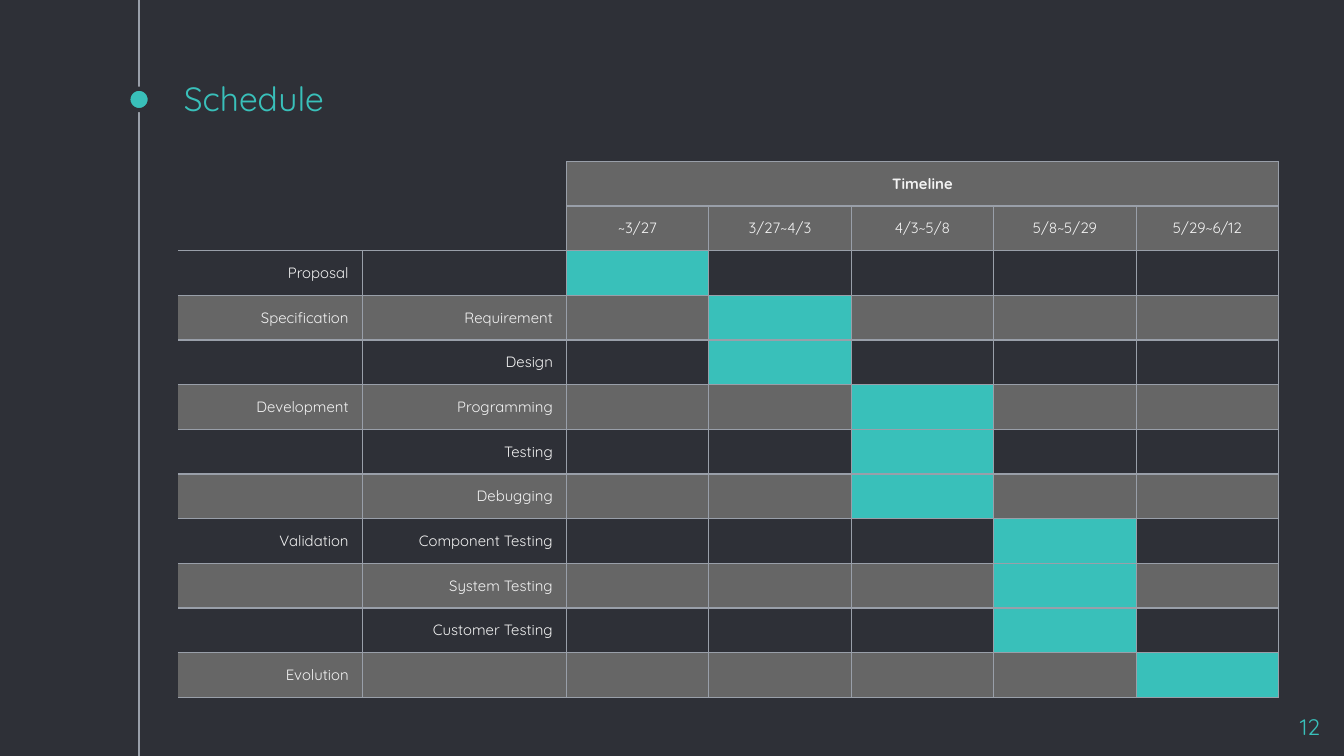
from lxml.etree import SubElement as Sub
from pptx import Presentation
from pptx.dml.color import RGBColor as Rgb
from pptx.enum.shapes import MSO_CONNECTOR as Conn, MSO_SHAPE as Form
from pptx.enum.text import MSO_ANCHOR as Anchor, PP_ALIGN as Align
from pptx.oxml.ns import qn
from pptx.util import Inches, Pt


class Theme:
    back, teal, grey = "2E3037", "39C0BA", "666666"
    rule, text = "999FA9", "F3F3F3"
    font = "Quicksand"
    title, page, cell = 18, 12, 8
    thin, ring = 0.75, 2.25


deck = Presentation()
deck.slide_width, deck.slide_height = Inches(10), Inches(5.625)
slide = deck.slides.add_slide(deck.slide_layouts[6])
slide.background.fill.solid()
slide.background.fill.fore_color.rgb = Rgb.from_string(Theme.back)
col, row = deck.slide_width / 100, deck.slide_height / 100


def write(frame, text, size, color, align, bold=False):
    par = frame.paragraphs[0]
    par.alignment = align
    if text:
        run = par.add_run()
        run.text = text
        run.font.name, run.font.size, run.font.bold = Theme.font, Pt(size), bold
        run.font.color.rgb = Rgb.from_string(color)
    else:
        # An empty cell would else be as tall as 18 pt text.
        Sub(par._p, qn("a:endParaRPr"), sz=str(size * 100))


def edge(cell, sides):
    """Rule the given sides of a cell, as letters of LRTB, and clear the rest."""
    props = cell._tc.get_or_add_tcPr()
    for side in "LRTB":
        line = Sub(props, qn(f"a:ln{side}"), w=str(Pt(Theme.thin)))
        if side in sides:
            fill = Sub(line, qn("a:solidFill"))
            Sub(fill, qn("a:srgbClr"), val=Theme.rule)
        else:
            Sub(line, qn("a:noFill"))


# Rail with its dot
mid, level, dot = 10.35 * col, 13.16 * row, 1.6 * col
rail = slide.shapes.add_connector(
    Conn.STRAIGHT, int(mid), 0, int(mid), deck.slide_height)
rail.line.color.rgb = Rgb.from_string(Theme.rule)
rail.line.width = Pt(Theme.thin)
Sub(rail._element.spPr, qn("a:effectLst"))

disc = slide.shapes.add_shape(
    Form.OVAL, int(mid - dot / 2), int(level - dot / 2), int(dot), int(dot))
disc.shadow.inherit = False
disc.fill.solid()
disc.fill.fore_color.rgb = Rgb.from_string(Theme.teal)
disc.line.color.rgb = Rgb.from_string(Theme.back)
disc.line.width = Pt(Theme.ring)

# Title and page number
labels = [
    ("Schedule", 12.7, 10.67, 75, 6.76, Theme.title, Align.LEFT, Anchor.BOTTOM),
    ("12", 93.2, 92.5, 6, 6.05, Theme.page, Align.RIGHT, Anchor.TOP),
]
for text, left, top, wide, high, size, align, anchor in labels:
    box = slide.shapes.add_textbox(
        int(left * col), int(top * row), int(wide * col), int(high * row))
    frame = box.text_frame
    frame.word_wrap = True
    frame.vertical_anchor = anchor
    frame.margin_left = frame.margin_right = Inches(0.1)
    frame.margin_top = frame.margin_bottom = Inches(0.1)
    write(frame, text, size, Theme.teal, align)

# Schedule: phase, task, index of the active period
dates = ["~3/27", "3/27~4/3", "4/3~5/8", "5/8~5/29", "5/29~6/12"]
tasks = [
    ("Proposal", "", 0),
    ("Specification", "Requirement", 1),
    ("", "Design", 1),
    ("Development", "Programming", 2),
    ("", "Testing", 2),
    ("", "Debugging", 2),
    ("Validation", "Component Testing", 3),
    ("", "System Testing", 3),
    ("", "Customer Testing", 3),
    ("Evolution", "", 4),
]
blank = [""] * len(dates)
rows = [["", "", "Timeline"] + blank[1:], ["", ""] + dates]
rows += [[phase, task] + blank for phase, task, _ in tasks]
wides = [13.7, 15.2] + [10.6] * len(dates)
high = 5.91

grid = slide.shapes.add_table(
    len(rows), len(wides), int(13.25 * col), int(21.35 * row),
    int(sum(wides) * col), int(len(rows) * high * row)).table
grid.first_row = grid.horz_banding = False
for n, wide in enumerate(wides):
    grid.columns[n].width = int(wide * col)
for line in grid.rows:
    line.height = int(high * row)

for r, texts in enumerate(rows):
    for c, text in enumerate(texts):
        cell = grid.cell(r, c)
        head, side = r < 2, c < 2
        cell.vertical_anchor = Anchor.MIDDLE
        write(cell.text_frame, text, Theme.cell, Theme.text,
              Align.RIGHT if side else Align.CENTER, bold=r == 0)
        edge(cell, "RB" if head and side else "RTB" if c == 0 else "LRTB")
        if not head and c - 2 == tasks[r - 2][2]:
            tint = Theme.teal
        elif (head and not side) or (not head and r % 2):
            tint = Theme.grey
        else:
            tint = None
        if tint:
            cell.fill.solid()
            cell.fill.fore_color.rgb = Rgb.from_string(tint)
        else:
            cell.fill.background()

grid.cell(0, 0).merge(grid.cell(1, 1))
grid.cell(0, 2).merge(grid.cell(0, len(wides) - 1))

deck.save("out.pptx")
